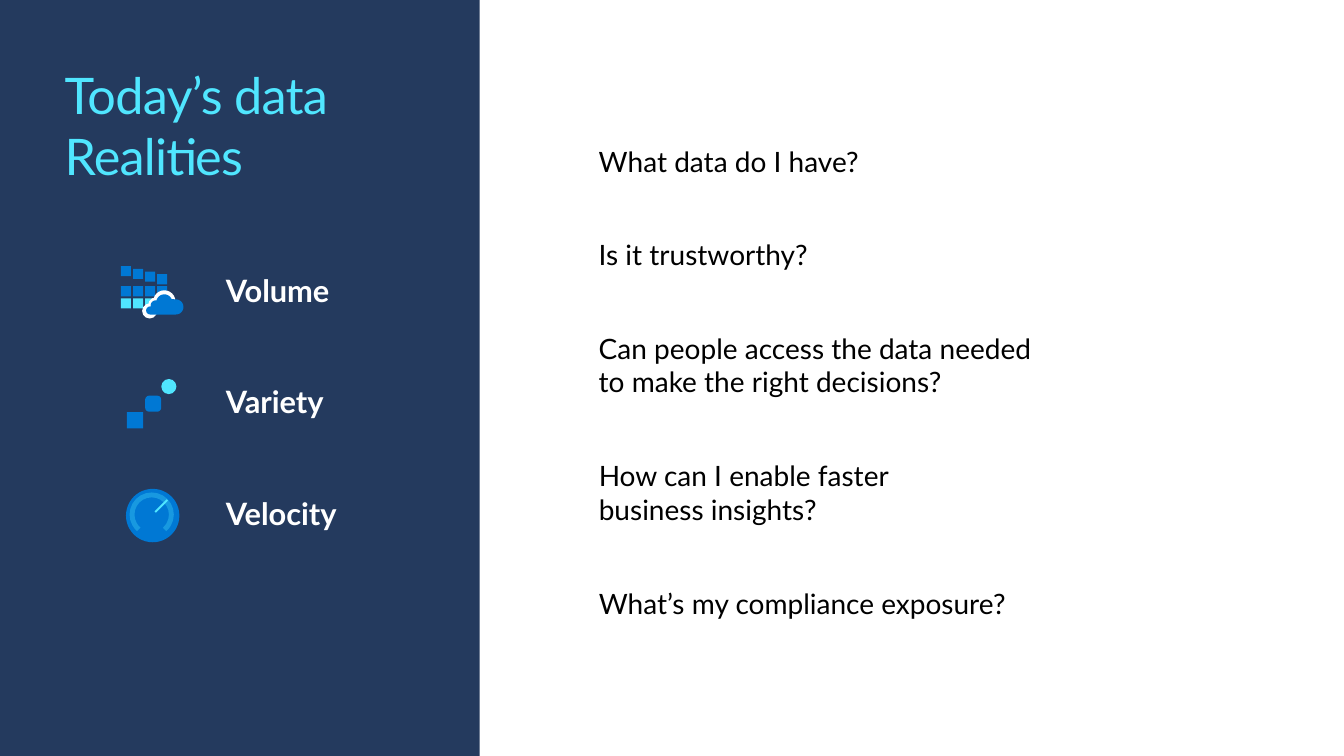
import math
from dataclasses import dataclass

from lxml import etree
from pptx import Presentation
from pptx import util as u
from pptx.dml.color import RGBColor
from pptx.enum import shapes, text
from pptx.oxml import ns

COLUMNS, ROWS = 133.33, 75  # cells of a tenth of an inch
CELL = u.Inches(0.1)
KIND = shapes.MSO_SHAPE


@dataclass(frozen=True)
class Theme:
    font: str = "Lato"
    navy: str = "243A5E"
    blue: str = "0078D4"
    cyan: str = "50E6FF"
    white: str = "FFFFFF"
    black: str = "000000"
    title_size: float = 36
    label_size: float = 22
    question_size: float = 20
    dial_line: float = 3.5
    needle_line: float = 1.38


def cells(*values):
    return [round(value * CELL) for value in values]


class Board:
    """Draws elements, measured in grid cells, on one slide or icon group."""

    def __init__(self, slide, theme):
        self.slide = slide
        self.theme = theme
        self.canvas = slide.shapes

    def start_icon(self):
        self.canvas = self.slide.shapes.add_group_shape().shapes

    def style(self, shape, fill=None, line=None, weight=0):
        shape.shadow.inherit = False
        if fill:
            shape.fill.solid()
            shape.fill.fore_color.rgb = RGBColor.from_string(fill)
        else:
            shape.fill.background()
        if line:
            self.stroke(shape.line, line, weight)
        else:
            shape.line.fill.background()
        return shape

    def stroke(self, line, color, weight):
        line.color.rgb = RGBColor.from_string(color)
        line.width = u.Pt(weight)

    def shape(self, kind, left, top, width, height, **style):
        shape = self.canvas.add_shape(kind, *cells(left, top, width, height))
        return self.style(shape, **style)

    def lobes(self, arcs, fill):
        """Closed outline through arcs of (centre x, centre y, radius, from, to degrees)."""
        points = []
        for x, y, radius, start, end in arcs:
            for step in range(13):
                angle = math.radians(start + (end - start) * step / 12)
                points.append(cells(x + radius * math.cos(angle), y + radius * math.sin(angle)))
        builder = self.canvas.build_freeform(*points[0], scale=1.0)
        builder.add_line_segments(points[1:], close=True)
        return self.style(builder.convert_to_shape(), fill=fill)

    def arc(self, left, top, size, start, end, color, weight, opacity):
        arc = self.shape(KIND.ARC, left, top, size, size, line=color, weight=weight)
        arc.adjustments[0], arc.adjustments[1] = start * 0.6, end * 0.6
        color_element = arc._element.spPr.find(".//" + ns.qn("a:ln")).find(".//" + ns.qn("a:srgbClr"))
        etree.SubElement(color_element, ns.qn("a:alpha"), val=str(opacity * 1000))

    def line(self, x1, y1, x2, y2, color, weight):
        connector = self.canvas.add_connector(
            shapes.MSO_CONNECTOR.STRAIGHT, *cells(x1, y1, x2, y2))
        self.stroke(connector.line, color, weight)
        etree.SubElement(connector._element.spPr, ns.qn("a:effectLst"))

    def text(self, words, left, top, width, height, size, color, bold=False,
             wrap=True, inset=(0, 0), middle=False, line_spacing=None, tracking=0):
        box = self.slide.shapes.add_textbox(*cells(left, top, width, height))
        frame = box.text_frame
        frame.word_wrap = wrap
        frame.auto_size = text.MSO_AUTO_SIZE.NONE if wrap else text.MSO_AUTO_SIZE.SHAPE_TO_FIT_TEXT
        frame.margin_left = frame.margin_right = cells(inset[0])[0]
        frame.margin_top = frame.margin_bottom = cells(inset[1])[0]
        frame.vertical_anchor = text.MSO_ANCHOR.MIDDLE if middle else text.MSO_ANCHOR.TOP
        paragraph = frame.paragraphs[0]
        paragraph.text = words
        if line_spacing:
            paragraph.line_spacing = line_spacing
        for run in paragraph.runs:
            run.font.name = self.theme.font
            run.font.size = u.Pt(size)
            run.font.bold = bold
            run.font.color.rgb = RGBColor.from_string(color)
            if tracking:
                run._r.get_or_add_rPr().set("spc", str(round(tracking * 100)))


def draw_volume(board, theme):
    board.start_icon()
    for column in range(4):
        left = 12 + 1.2 * column
        stack = ((29.6, theme.cyan), (28.4, theme.blue), (26.4 + 0.27 * column, theme.blue))
        for top, color in stack:
            board.shape(KIND.RECTANGLE, left, top, 1, 1, fill=color)
    for left, top, size in ((15.2, 28.8, 2.2), (14.7, 29.5, 1.5), (14.1, 30.1, 1.5)):
        board.shape(KIND.OVAL, left, top, size, size, fill=theme.white)
    cloud = ((16.3, 30, 0.8, 195, 335), (17.45, 30.45, 0.75, 265, 450),
             (14.9, 30.8, 0.4, 90, 285), (15.45, 30.3, 0.5, 180, 275))
    board.lobes(cloud, theme.blue)


def draw_variety(board, theme):
    board.start_icon()
    board.shape(KIND.RECTANGLE, 12.6, 40.9, 1.6, 1.6, fill=theme.blue)
    rounded = board.shape(KIND.ROUNDED_RECTANGLE, 14.4, 39.25, 1.6, 1.6, fill=theme.blue)
    rounded.adjustments[0] = 0.25
    board.shape(KIND.OVAL, 16, 37.6, 1.5, 1.5, fill=theme.cyan)


def draw_velocity(board, theme):
    board.start_icon()
    board.shape(KIND.OVAL, 12.5, 48.5, 5.3, 5.3, fill=theme.blue)
    board.arc(13.1, 49.1, 3.9, 131, 49, theme.cyan, theme.dial_line, opacity=30)
    board.shape(KIND.OVAL, 14.7, 50.7, 0.8, 0.8, line=theme.blue, weight=theme.needle_line)
    board.line(15.4, 50.8, 16.6, 49.6, theme.cyan, theme.needle_line)


def main():
    presentation = Presentation()
    presentation.slide_width, presentation.slide_height = cells(COLUMNS, ROWS)
    slide = presentation.slides.add_slide(presentation.slide_layouts[6])
    theme = Theme()
    board = Board(slide, theme)

    board.shape(KIND.RECTANGLE, 0, 0, 47.6, ROWS, fill=theme.navy)
    board.text("Today’s data Realities", 6.4, 6.4, 34.8, 34.1,
               theme.title_size, theme.cyan, tracking=-0.5)

    realities = (("Volume", draw_volume), ("Variety", draw_variety), ("Velocity", draw_velocity))
    for row, (label, draw_icon) in enumerate(realities):
        draw_icon(board, theme)
        board.text(label, 20.4, 25.1 + 11.05 * row, 17.4, 7.8, theme.label_size, theme.white,
                   bold=True, inset=(2, 1.6), middle=True, line_spacing=0.9)

    questions = (
        ("What data do I have?", 27),
        ("Is it trustworthy?", 21.4),
        ("Can people access the data needed\nto make the right decisions?", 44.7),
        ("How can I enable faster\nbusiness insights?", 29.9),
        ("What’s my compliance exposure?", 42.2),
    )
    top, line_height, gap = 14.3, 3.4, 5.87
    for question, width in questions:
        height = line_height * len(question.splitlines())
        board.text(question, 59.4, top, width, height,
                   theme.question_size, theme.black, wrap=False)
        top += height + gap

    presentation.save("out.pptx")


if __name__ == "__main__":
    main()
